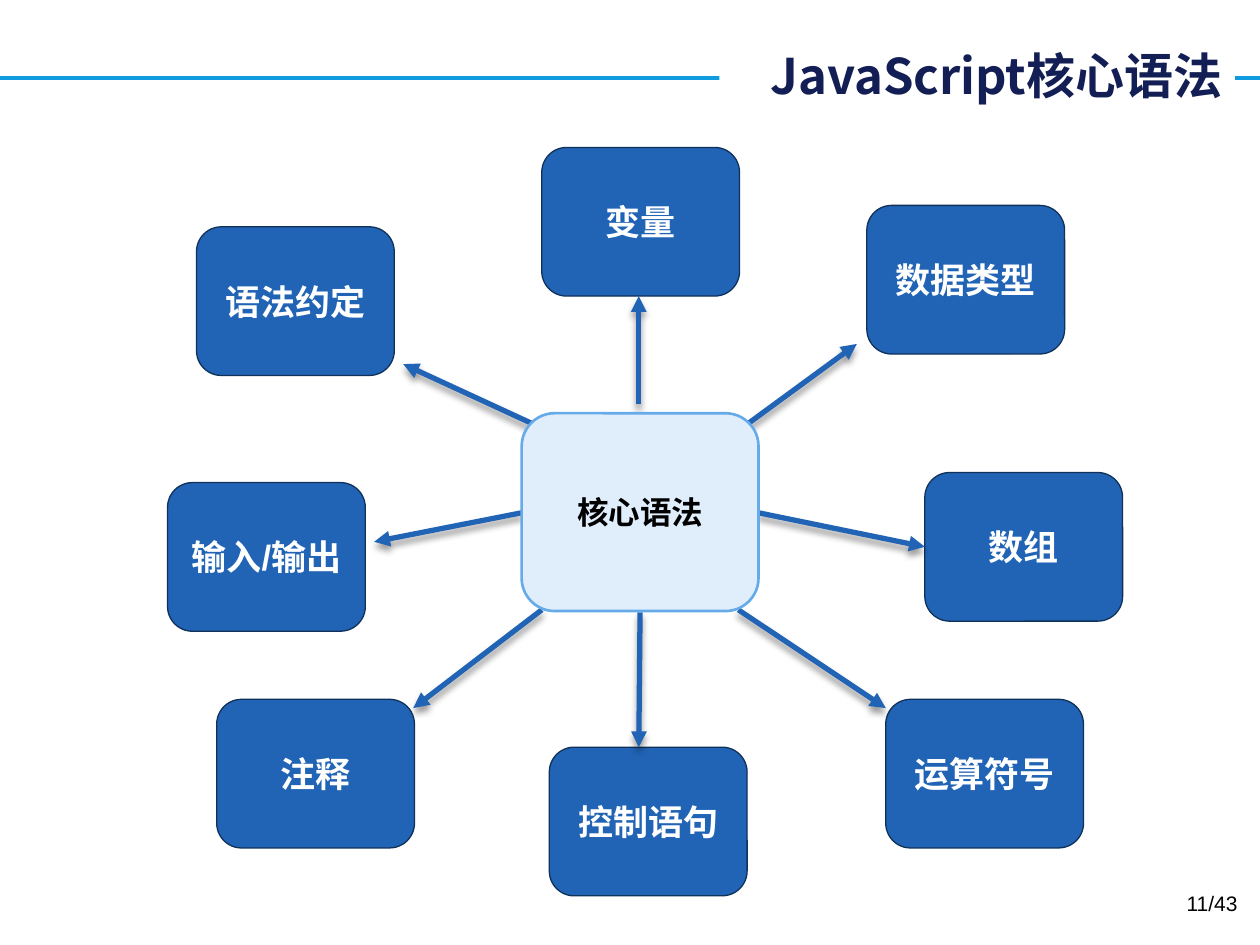
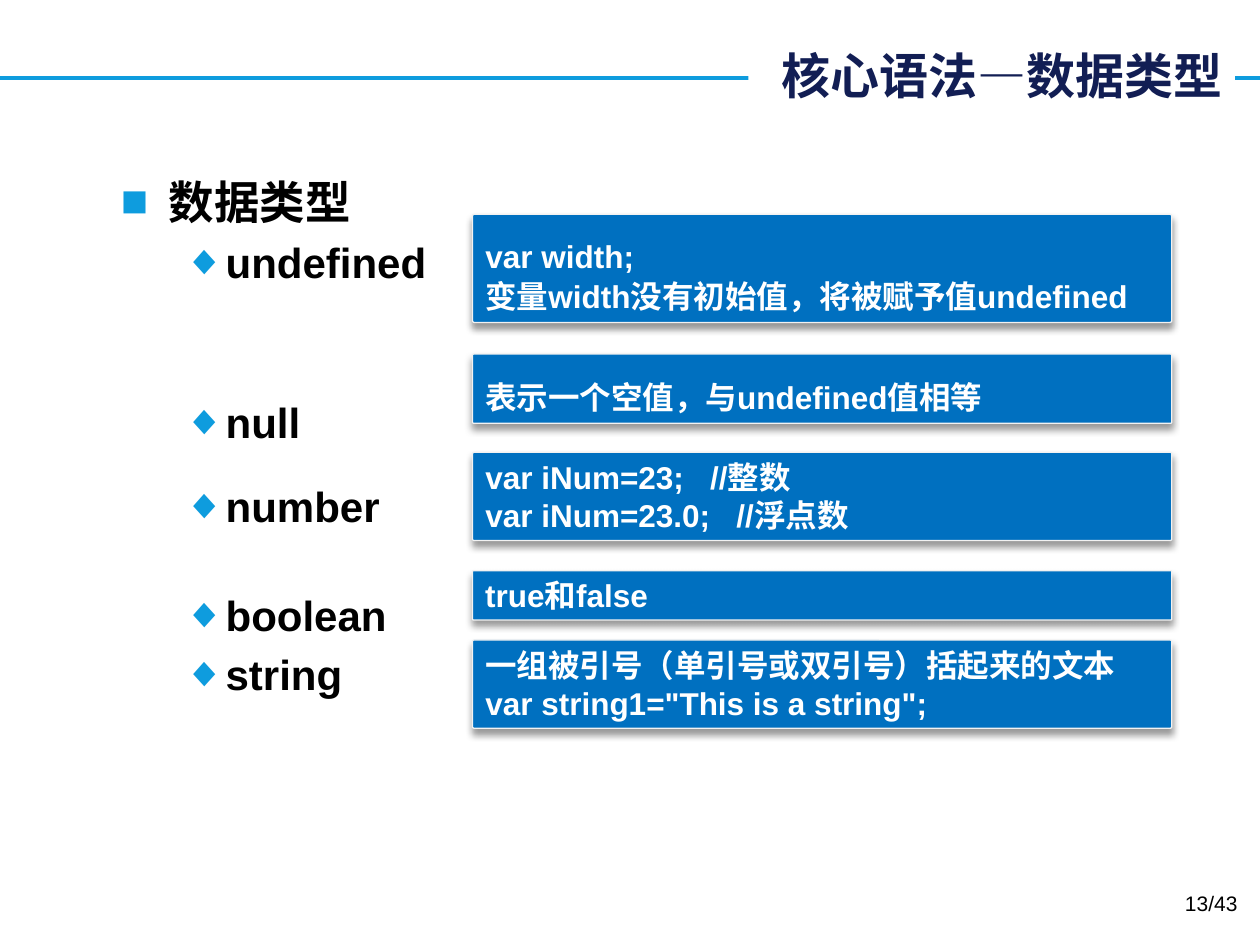
from lxml import etree
from pptx import Presentation
from pptx import util as u
from pptx.dml.color import RGBColor
from pptx.enum import shapes, text
from pptx.oxml import ns

# Content: topics as (label, left, top), arrows as (x1, y1, x2, y2)
HUB = "核心语法"
TOPICS = [
    ("数据类型", 6.88, 1.63),
    ("变量", 4.3, 1.17),
    ("语法约定", 1.56, 1.8),
    ("输入/输出", 1.33, 3.83),
    ("注释", 1.72, 5.55),
    ("控制语句", 4.36, 5.93),
    ("运算符号", 7.03, 5.55),
    ("数组", 7.34, 3.75),
]
ARROWS = [
    (5.07, 3.21, 5.07, 2.35),
    (5.94, 3.36, 6.8, 2.73),
    (6.02, 4.07, 7.34, 4.34),
    (5.86, 4.84, 7.03, 5.62),
    (5.08, 4.86, 5.07, 5.93),
    (4.14, 4.07, 2.97, 4.3),
    (4.22, 3.36, 3.2, 2.89),
    (4.3, 4.84, 3.28, 5.62),
]
# Bullets as (text, level, line spacing)
TYPES = [
    ("数据类型", 0, 1.0),
    ("undefined", 1, 1.0),
    ("null", 1, 3.0),
    ("number", 1, 1.5),
    ("boolean", 1, 2.0),
    ("string", 1, 1.0),
]
# Notes as (top, height, line spacing, points before, lines)
NOTES = [
    (1.7, 0.86, 0.9, 3.6, ["var width;", "变量width没有初始值，将被赋予值undefined"]),
    (2.81, 0.55, 0.9, 3.6, ["表示一个空值，与undefined值相等"]),
    (3.59, 0.7, 1.0, 0, ["var iNum=23;   //整数", "var iNum=23.0;   //浮点数"]),
    (4.53, 0.39, 1.0, 0, ["true和false"]),
    (5.08, 0.7, 1.0, 0, ["一组被引号（单引号或双引号）括起来的文本",
                         'var string1="This is a string";']),
]


class Theme:
    latin, han = "Arial", "Noto Sans CJK SC"
    white, black, navy, sky = "FFFFFF", "000000", "121E54", "0E9CDE"
    blue, edge = "2163B4", "10315A"
    pale, rim = "E0EEFB", "65AAE9"
    note, trim = "0070C0", "F2F2F2"
    title, head, item, node, small, page = 28, 26, 24, 20, 18, 12


# Bullet per level: (character, left margin, hanging indent)
MARKS = [("■", 0.38, 0.38), ("◆", 0.81, 0.31)]

deck = Presentation()
deck.slide_width, deck.slide_height = u.Inches(10), u.Inches(7.5)


# Shared helpers
def rgb(code):
    return RGBColor.from_string(code)


def box(*sides):
    return [u.Inches(side) for side in sides]


def place(shape, *sides):
    shape.left, shape.top, shape.width, shape.height = box(*sides)


def sub(parent, tag, **attrs):
    return etree.SubElement(parent, ns.qn("a:" + tag), attrs)


def style(par, size, color, face=Theme.latin, bold=True, align=text.PP_ALIGN.LEFT):
    par.alignment = align
    font = par.font
    font.size, font.bold, font.name = u.Pt(size), bold, face
    font.color.rgb = rgb(color)
    sub(par._p.pPr.find(ns.qn("a:defRPr")), "ea", typeface=Theme.han)


def effect(shape, shade):
    """Close the shape properties with a soft shadow or with none."""
    group = sub(shape.element.spPr, "effectLst")
    if shade:
        cast = sub(group, "outerShdw", blurRad=str(u.Pt(4)), dist=str(u.Pt(3)),
                   dir="5400000", rotWithShape="0")
        sub(sub(cast, "srgbClr", val=Theme.black), "alpha", val="40000")


def line(slide, ends, color, width, arrow=False):
    link = slide.shapes.add_connector(shapes.MSO_CONNECTOR.STRAIGHT, *box(*ends))
    link.line.color.rgb, link.line.width = rgb(color), u.Pt(width)
    if arrow:
        sub(link.line._get_or_add_ln(), "tailEnd", type="triangle")
    effect(link, arrow)
    return link


def card(slide, sides, fill, edge, width, round_=0.167, shade=False):
    shape = slide.shapes.add_shape(shapes.MSO_SHAPE.ROUNDED_RECTANGLE, *box(*sides))
    shape.adjustments[0] = round_
    shape.fill.solid()
    shape.fill.fore_color.rgb = rgb(fill)
    shape.line.color.rgb, shape.line.width = rgb(edge), u.Pt(width)
    effect(shape, shade)
    shape.text_frame.word_wrap = True
    return shape


def label(shape, words, *look):
    frame = shape.text_frame
    frame.text = words
    frame.vertical_anchor = text.MSO_ANCHOR.MIDDLE
    style(frame.paragraphs[0], *look, align=text.PP_ALIGN.CENTER)


def start(layout, words, left, page):
    """Add a slide with its band, right-hand title and page number."""
    slide = deck.slides.add_slide(deck.slide_layouts[layout])
    title = slide.shapes.title
    band = line(slide, (0, 0.62, 10, 0.62), Theme.sky, 2.25)
    title.element.addprevious(band.element)
    place(title, left, 0.31, 9.8 - left, 0.57)
    title.fill.solid()
    title.fill.fore_color.rgb = rgb(Theme.white)
    frame = title.text_frame
    frame.text = words
    frame.auto_size = text.MSO_AUTO_SIZE.SHAPE_TO_FIT_TEXT
    frame.vertical_anchor = text.MSO_ANCHOR.MIDDLE
    right = text.PP_ALIGN.RIGHT
    style(frame.paragraphs[0], Theme.title, Theme.navy, Theme.han, align=right)
    foot = slide.shapes.add_textbox(*box(7.59, 7.02, 2.33, 0.4)).text_frame
    foot.word_wrap = True
    foot.text = page
    style(foot.paragraphs[0], Theme.page, Theme.black, bold=False, align=right)
    return slide


# Slide 1: topics around the hub
slide = start(5, "JavaScript核心语法", 5.71, "11/43")
for name, left, top in TOPICS:
    node = card(slide, (left, top, 1.57, 1.18), Theme.blue, Theme.edge, 0.75)
    label(node, name, Theme.node, Theme.white)
for ends in ARROWS:
    line(slide, ends, Theme.blue, 3, arrow=True)
hub = card(slide, (4.14, 3.28, 1.88, 1.57), Theme.pale, Theme.rim, 1.5)
label(hub, HUB, Theme.small, Theme.black, Theme.han)

# Slide 2: bulleted types
slide = start(1, "核心语法—数据类型", 5.94, "13/43")
body = slide.placeholders[1]
place(body, 0.86, 1.33, 3.67, 5.62)
frame = body.text_frame
frame.auto_size = text.MSO_AUTO_SIZE.NONE
frame.text = "\n".join(name for name, _, _ in TYPES)
for par, (_, level, gap) in zip(frame.paragraphs, TYPES):
    par.level, par.line_spacing = level, gap
    size = Theme.item if level else Theme.head
    par.space_before = u.Pt(size * 0.2)
    style(par, size, Theme.black)
    mark, margin, hang = MARKS[level]
    props = par._p.pPr
    props.set("marL", str(u.Inches(margin)))
    props.set("indent", str(-u.Inches(hang)))
    tint = sub(props, "buClr")
    sub(tint, "srgbClr", val=Theme.sky)
    bullet = [tint, sub(props, "buFont", typeface=Theme.latin),
              sub(props, "buChar", char=mark)]
    for part in bullet:
        props.find(ns.qn("a:defRPr")).addprevious(part)

# Slide 2: notes beside the types
for top, height, gap, before, lines in NOTES:
    note = card(slide, (3.75, top, 5.55, height), Theme.note, Theme.trim, 0.75,
                round_=0.018, shade=True)
    frame = note.text_frame
    frame.vertical_anchor = text.MSO_ANCHOR.BOTTOM
    frame.text = "\n".join(lines)
    for par in frame.paragraphs:
        par.line_spacing, par.space_before = gap, u.Pt(before)
        style(par, Theme.small, Theme.white)

deck.save("out.pptx")
